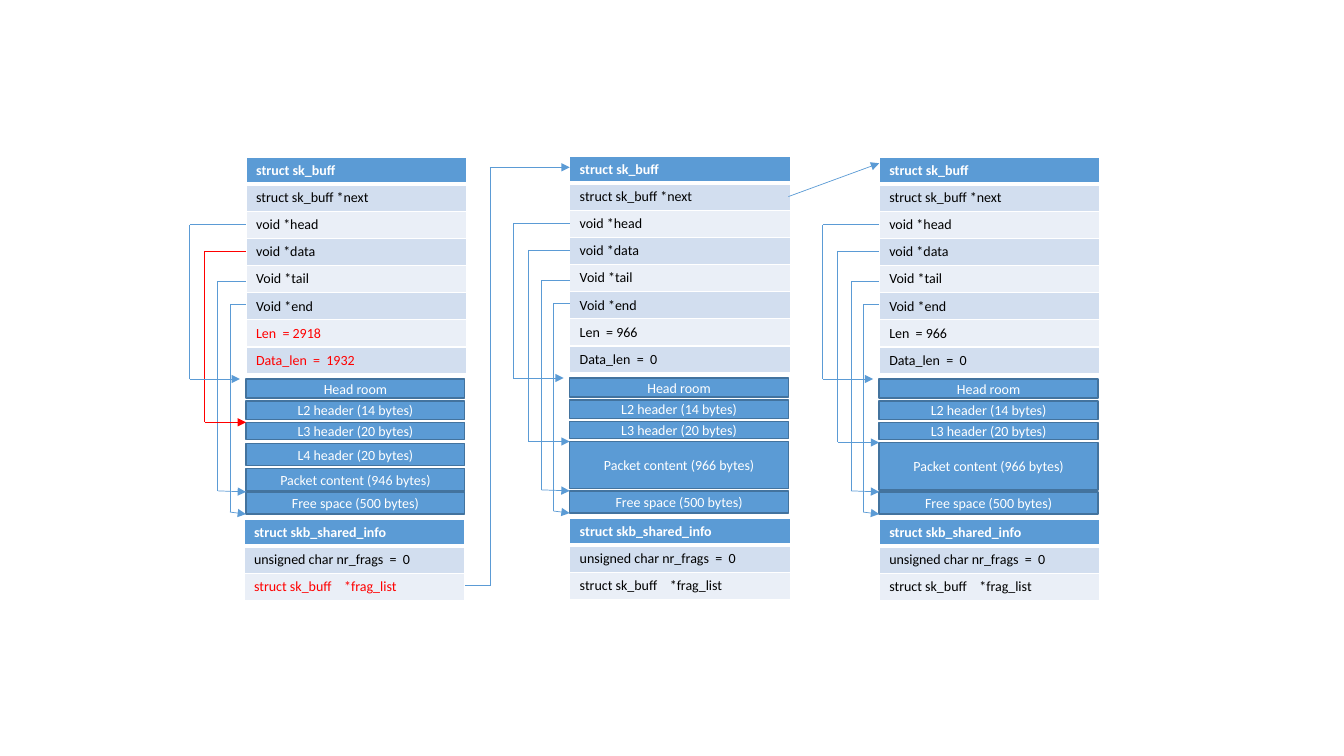
from itertools import pairwise

from lxml import etree
from pptx import Presentation
from pptx import util as u
from pptx.dml.color import RGBColor
from pptx.enum import shapes, text
from pptx.oxml import ns

BLUE = RGBColor(0x5B, 0x9B, 0xD5)
DARK_BLUE = RGBColor(0x43, 0x73, 0x9E)
BAND_DARK = RGBColor(0xD2, 0xDE, 0xEF)
BAND_LIGHT = RGBColor(0xEA, 0xEF, 0xF7)
WHITE = RGBColor(0xFF, 0xFF, 0xFF)
BLACK = RGBColor(0x00, 0x00, 0x00)
RED = RGBColor(0xFF, 0x00, 0x00)

PX = u.Inches(1) // 100
TABLE_WIDTH, BOX_WIDTH = 219, 217

POINTER_FIELDS = ["struct sk_buff *next", "void *head", "void *data", "Void *tail", "Void *end"]
SHARED_INFO = ["struct skb_shared_info", "unsigned char nr_frags  =  0", "struct sk_buff    *frag_list"]

# Buffer areas as (label, offset from the column top, height)
HEADERS = [("Head room", 220, 19), ("L2 header (14 bytes)", 242, 18), ("L3 header (20 bytes)", 263, 17)]
FIRST_CONTENT = [("L4 header (20 bytes)", 284, 22), ("Packet content (946 bytes)", 309, 22)]
NEXT_CONTENT = [("Packet content (966 bytes)", 283, 47)]
FREE_SPACE = [("Free space (500 bytes)", 332, 22)]

# left, shared info left, top, len, data_len, content, data target, highlight colour
COLUMNS = [
    (244, 242, 156, "2918", "1932", FIRST_CONTENT, 263, RED),
    (565, 565, 155, "966", "0", NEXT_CONTENT, 283, None),
    (872, 872, 156, "966", "0", NEXT_CONTENT, 283, None),
]


class Diagram:
    def __init__(self, slide):
        self.slide = slide
        self.font = {"name": "Calibri", "size": u.Pt(10)}

    def label(self, frame, words, color, **formats):
        paragraph = frame.paragraphs[0]
        run = paragraph.add_run()
        run.text = words
        run.font.color.rgb = color
        for name, value in {**self.font, **formats}.items():
            setattr(run.font, name, value)
        return paragraph

    def border(self, cell, is_header):
        """Give a cell white edges, with a thick rule below the header."""
        properties = cell._tc.get_or_add_tcPr()
        edges = ["lnL", "lnR", "lnT", "lnB"] if is_header else ["lnL", "lnR", "lnB"]
        for index, edge in enumerate(edges):
            points = 3 if is_header and edge == "lnB" else 1
            line = etree.Element(ns.qn(f"a:{edge}"), w=str(u.Pt(points)))
            fill = etree.SubElement(line, ns.qn("a:solidFill"))
            etree.SubElement(fill, ns.qn("a:srgbClr"), val=str(WHITE))
            properties.insert(index, line)

    def table(self, left, top, height, rows, red_rows=()):
        frame = self.slide.shapes.add_table(
            len(rows), 1, left * PX, top * PX, TABLE_WIDTH * PX, height * PX)
        for index, words in enumerate(rows):
            cell = frame.table.cell(index, 0)
            is_header = index == 0
            cell.fill.solid()
            cell.fill.fore_color.rgb = BLUE if is_header else (BAND_LIGHT, BAND_DARK)[index % 2]
            self.border(cell, is_header)
            color = WHITE if is_header else RED if index in red_rows else BLACK
            self.label(cell.text_frame, words, color, bold=is_header)

    def box(self, left, top, height, words):
        shape = self.slide.shapes.add_shape(
            shapes.MSO_SHAPE.RECTANGLE, left * PX, top * PX, BOX_WIDTH * PX, height * PX)
        shape.shadow.inherit = False
        shape.fill.solid()
        shape.fill.fore_color.rgb = BLUE
        shape.line.color.rgb = DARK_BLUE
        shape.line.width = u.Pt(1)
        frame = shape.text_frame
        for name, value in {"word_wrap": True, "vertical_anchor": text.MSO_ANCHOR.MIDDLE}.items():
            setattr(frame, name, value)
        self.label(frame, words, WHITE).alignment = text.PP_ALIGN.CENTER

    def line(self, start, end, color=BLUE, arrow=False):
        connector = self.slide.shapes.add_connector(
            shapes.MSO_CONNECTOR.STRAIGHT, *(value * PX for value in (*start, *end)))
        connector.line.color.rgb = color
        connector.line.width = u.Pt(0.5)
        properties = connector._element.spPr
        if arrow:
            etree.SubElement(properties.find(ns.qn("a:ln")), ns.qn("a:tailEnd"), type="triangle")
        etree.SubElement(properties, ns.qn("a:effectLst"))

    def route(self, points, color=BLUE):
        """Join the points with straight lines, ending in an arrowhead."""
        for start, end in pairwise(points):
            self.line(start, end, color, arrow=end == points[-1])

    def column(self, left, shared_left, top, length, data_length, content, data_target, highlight):
        rows = ["struct sk_buff", *POINTER_FIELDS, f"Len  = {length}", f"Data_len  =  {data_length}"]
        self.table(left, top, 213, rows, red_rows=(6, 7) if highlight else ())
        for words, offset, height in HEADERS + content + FREE_SPACE:
            self.box(left, top + offset, height, words)
        # elbow x, field y, arrow y, target x, target y, colour
        pointers = [
            (-16, 146, 352, 0, 354, BLUE),
            (-28, 123, 331, 0, 332, BLUE),
            (-41, 93, data_target, 0, data_target, highlight or BLUE),
            (-56, 67, 220, -6, 220, BLUE),
        ]
        for elbow, field, bend, target_x, target_y, color in pointers:
            offsets = [(0, field), (elbow, field), (elbow, bend), (target_x, target_y)]
            self.route([(left + x, top + y) for x, y in offsets], color)
        self.table(shared_left, top + 359, 80, SHARED_INFO, red_rows=(2,) if highlight else ())


def main():
    presentation = Presentation()
    presentation.slide_width = 1333 * PX
    presentation.slide_height = 750 * PX
    diagram = Diagram(presentation.slides.add_slide(presentation.slide_layouts[6]))
    for column in COLUMNS:
        diagram.column(*column)
    diagram.route([(782, 195), (872, 162)])
    diagram.route([(461, 581), (486, 581), (486, 166), (565, 166)])
    presentation.save("out.pptx")


if __name__ == "__main__":
    main()
